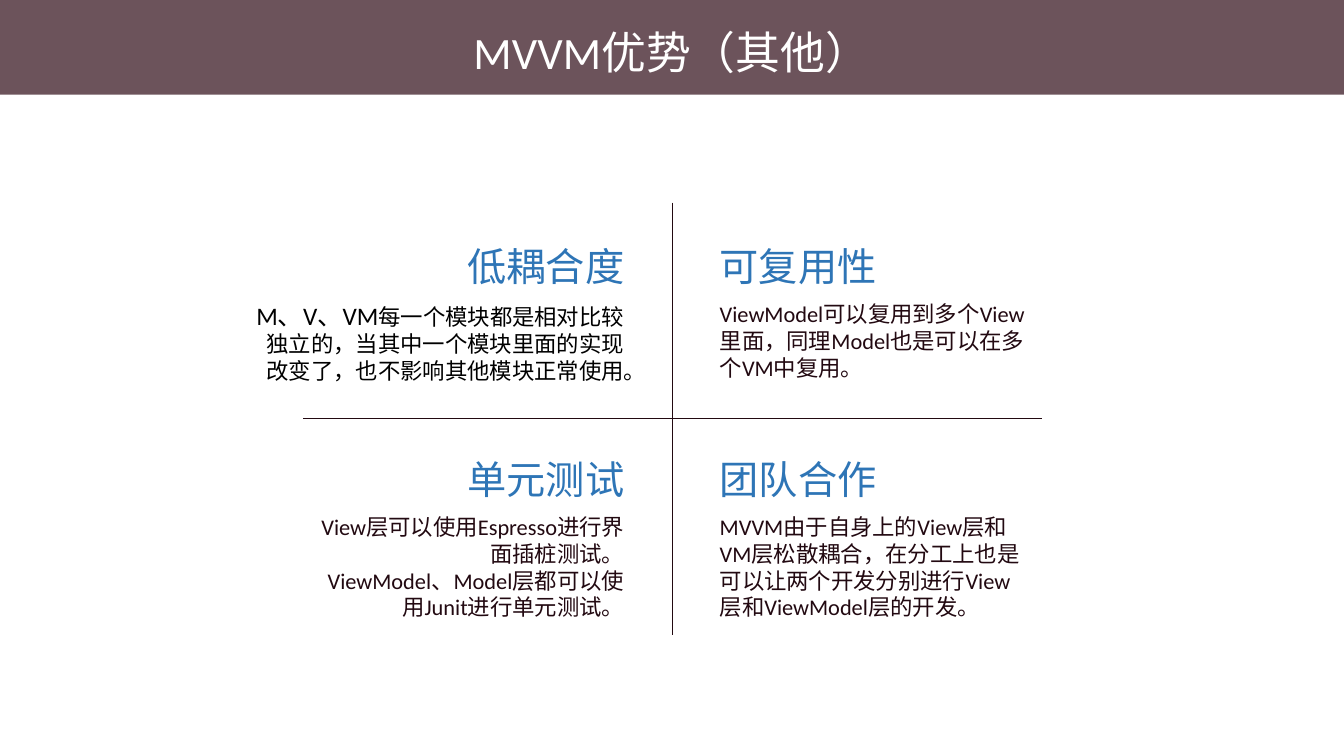
from lxml.etree import SubElement
from pptx import Presentation
from pptx.dml.color import RGBColor
from pptx.enum.shapes import MSO_CONNECTOR, MSO_SHAPE
from pptx.enum.text import MSO_ANCHOR, MSO_AUTO_SIZE, PP_ALIGN
from pptx.oxml.ns import qn
from pptx.util import Inches, Pt

TITLE = "MVVM优势（其他）"
QUADRANTS = [
    ("低耦合度", [[("M、V、VM", "lead"), ("每一个模块都是相对比较独立的，当其中一个模块里面的实现改变了，也不影响其他模块正常使用。", "plain")]], 3.87, 0.94),
    ("可复用性", [[("ViewModel可以复用到多个View里面，同理Model也是可以在多个VM中复用。", "body")]], 3.27, 0.91),
    ("单元测试", [[("View层可以使用Espresso进行界面插桩测试。", "body")],
              [("ViewModel、Model层都可以使用Junit进行单元测试。", "body")]], 3.27, 1.18),
    ("团队合作", [[("MVVM由于自身上的View层和VM层松散耦合，在分工上也是可以让两个开发分别进行View层和ViewModel层的开发。", "body")]], 3.27, 1.18),
]
THEME = {
    "axis": RGBColor.from_string("220911"),
    "east_asian": "Calibri",
    "title": ("Calibri", 32, "FFFFFF"),
    "heading": ("Noto Sans CJK SC", 28, "2E75B6"),
    "lead": ("Calibri", 18, "000000"),
    "plain": ("Calibri", 16, "000000"),
    "body": ("Calibri", 16, "220911"),
    "backdrop": ("300D18", 71),
    "page": ("FFFFFF", 100),
}
WIDTH, HEIGHT, BAR_H = 13.33, 7.5, 0.94
LEFT_EDGE, RIGHT_EDGE = 6.29, 7.04
ROWS = [(2.35, 2.93), (4.47, 5.04)]
HEADING_W, HEADING_H = 2.52, 0.57
AXES = [(3.01, 4.15, 10.33, 4.15), (6.67, 2.01, 6.67, 6.3)]


def write(tf, paragraphs, align):
    frame = {"word_wrap": True, "auto_size": MSO_AUTO_SIZE.NONE, "vertical_anchor": MSO_ANCHOR.TOP}
    for name, value in frame.items():
        setattr(tf, name, value)
    for i, runs in enumerate(paragraphs):
        p = tf.add_paragraph() if i else tf.paragraphs[0]
        p.alignment = align
        for text, style in runs:
            r = p.add_run()
            r.text = text
            face, size, color = THEME[style]
            for name, value in {"name": face, "size": Pt(size)}.items():
                setattr(r.font, name, value)
            r.font.color.rgb = RGBColor.from_string(color)
            ea = SubElement(r.font._element, qn("a:ea"))
            ea.set("typeface", THEME["east_asian"])


def add_text(s, box, paragraphs, align):
    sp = s.shapes.add_textbox(*map(Inches, box))
    write(sp.text_frame, paragraphs, align)


def add_header(s):
    title = s.shapes.title
    for style, top in [("backdrop", 0), ("page", BAR_H)]:
        color, opacity = THEME[style]
        panel = s.shapes.add_shape(MSO_SHAPE.RECTANGLE, 0, Inches(top), Inches(WIDTH), Inches(HEIGHT - top))
        panel.shadow.inherit = False
        panel.fill.solid()
        panel.fill.fore_color.rgb = RGBColor.from_string(color)
        panel.line.fill.background()
        if opacity < 100:
            rgb = panel._element.spPr.find(qn("a:solidFill"))[0]
            SubElement(rgb, qn("a:alpha")).set("val", str(opacity * 1000))
        title._element.addprevious(panel._element)
    place = {"left": 3.44, "top": 0.19, "width": 6.45, "height": 0.64}
    for name, value in place.items():
        setattr(title, name, Inches(value))
    write(title.text_frame, [[(TITLE, "title")]], PP_ALIGN.CENTER)


def add_axes(s):
    for ends in AXES:
        axis = s.shapes.add_connector(MSO_CONNECTOR.STRAIGHT, *map(Inches, ends))
        axis.line.color.rgb = THEME["axis"]
        axis.line.width = Pt(0.5)
        SubElement(axis._element.spPr, qn("a:effectLst"))


def add_quadrants(s):
    for i, (heading, paragraphs, body_w, body_h) in enumerate(QUADRANTS):
        row, col = divmod(i, 2)
        heading_y, body_y = ROWS[row]
        align = PP_ALIGN.LEFT if col else PP_ALIGN.RIGHT
        parts = [(heading_y, HEADING_W, HEADING_H, [[(heading, "heading")]]),
                 (body_y, body_w, body_h, paragraphs)]
        for y, w, h, content in parts:
            x = RIGHT_EDGE if col else LEFT_EDGE - w
            add_text(s, (x, y, w, h), content, align)


def main():
    prs = Presentation()
    prs.slide_width, prs.slide_height = Inches(WIDTH), Inches(HEIGHT)
    s = prs.slides.add_slide(prs.slide_layouts[5])
    add_header(s)
    add_axes(s)
    add_quadrants(s)
    prs.save("out.pptx")


if __name__ == "__main__":
    main()
